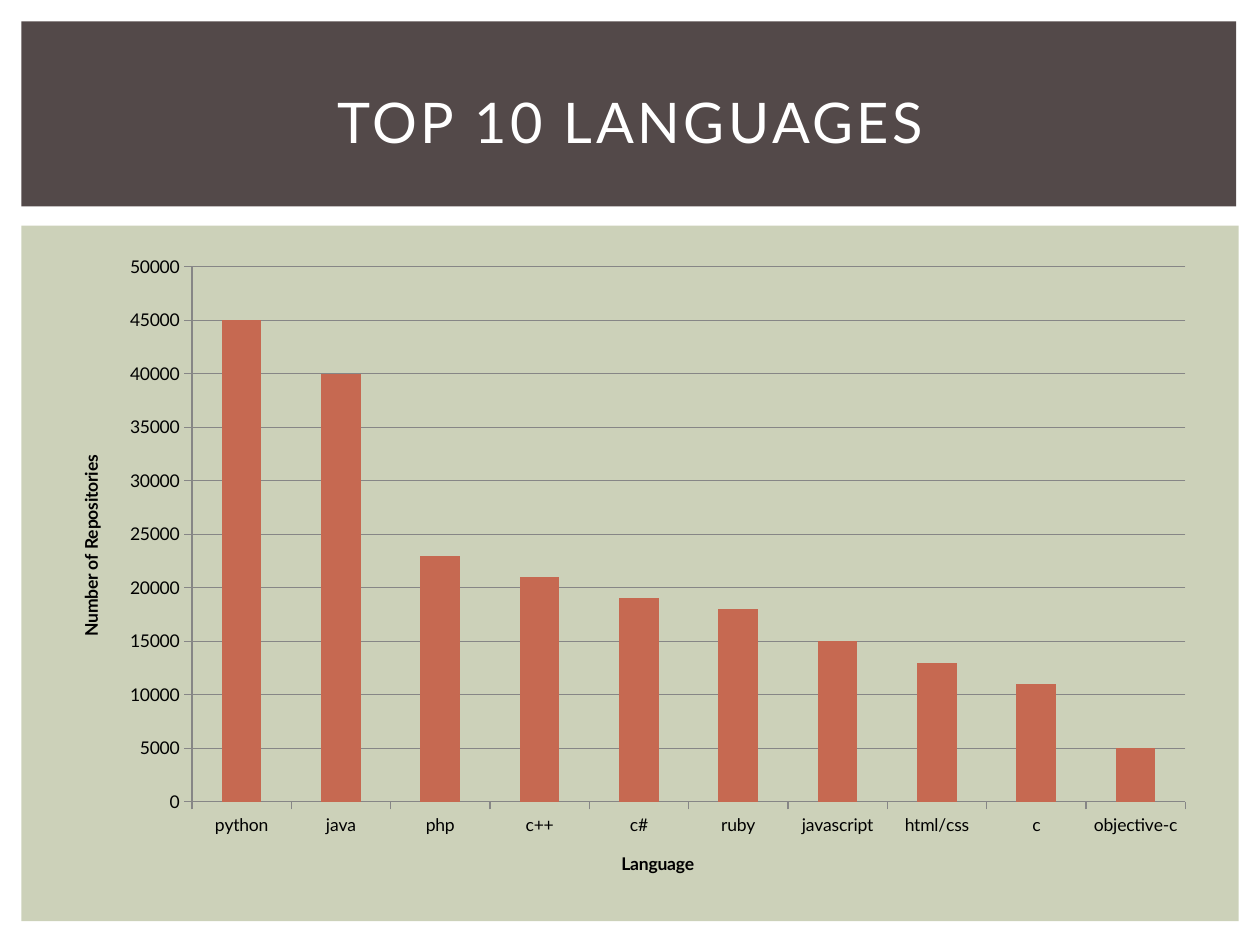
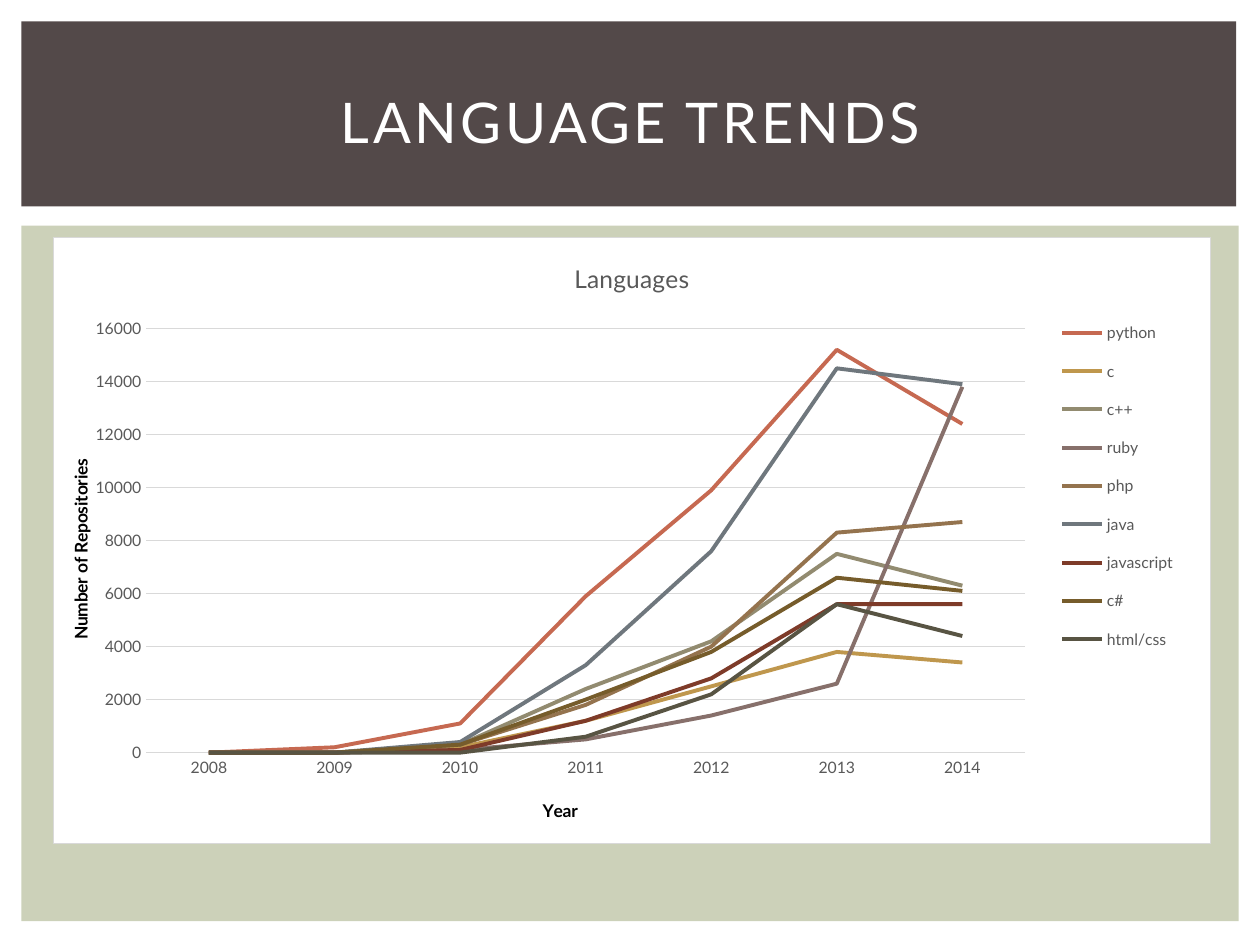
from dataclasses import dataclass

from lxml.etree import SubElement
from pptx import Presentation
from pptx.chart.data import CategoryChartData
from pptx.dml.color import RGBColor
from pptx.enum.chart import XL_CHART_TYPE as ChartType
from pptx.enum.chart import XL_LEGEND_POSITION as LegendPosition
from pptx.enum.chart import XL_TICK_MARK as TickMark
from pptx.enum.shapes import MSO_SHAPE as Shape
from pptx.enum.text import MSO_ANCHOR as Anchor
from pptx.enum.text import PP_ALIGN as Align
from pptx.oxml import parse_xml
from pptx.oxml.ns import nsdecls, qn
from pptx.util import Cm, Pt


@dataclass(frozen=True)
class Theme:
    font: str = "Lato"
    band: str = "534949"
    panel: str = "CCD1B9"
    white: str = "FFFFFF"
    black: str = "000000"
    muted: str = "595959"
    axis: str = "868686"
    pale: str = "D9D9D9"
    accent: str = "C66951"
    title_size: float = 32
    chart_title_size: float = 14
    axis_title_size: float = 10
    small_size: float = 9
    letter_spacing: int = 200
    hairline: float = 0.75
    trend_line: float = 2.25


THEME = Theme()

TOP_LANGUAGES = {
    "python": 45000, "java": 40000, "php": 23000, "c++": 21000, "c#": 19000,
    "ruby": 18000, "javascript": 15000, "html/css": 13000, "c": 11000,
    "objective-c": 5000,
}

YEARS = [str(year) for year in range(2008, 2015)]
TRENDS = [
    ("python", THEME.accent, [0, 200, 1100, 5900, 9900, 15200, 12400]),
    ("c", "BF974D", [0, 0, 200, 1200, 2500, 3800, 3400]),
    ("c++", "928B70", [0, 0, 300, 2400, 4200, 7500, 6300]),
    ("ruby", "87706B", [0, 0, 100, 500, 1400, 2600, 13800]),
    ("php", "94734E", [None, 0, 300, 1800, 4000, 8300, 8700]),
    ("java", "6F777D", [None, 0, 400, 3300, 7600, 14500, 13900]),
    ("javascript", "7E3B29", [None, 0, 100, 1200, 2800, 5600, 5600]),
    ("c#", "765C2B", [None, None, 300, 2000, 3800, 6600, 6100]),
    ("html/css", "585443", [None, None, None, 600, 2200, 5600, 4400]),
]


def style_font(font, size, color, bold=False):
    font.name = THEME.font
    font.size = Pt(size)
    font.bold = bold
    font.color.rgb = RGBColor.from_string(color)


def style_line(line, color, width=THEME.hairline):
    line.color.rgb = RGBColor.from_string(color)
    line.width = Pt(width)


def add_block(slide, color, left, top, width, height):
    block = slide.shapes.add_shape(
        Shape.RECTANGLE, Cm(left), Cm(top), Cm(width), Cm(height))
    block.shadow.inherit = False
    block.fill.solid()
    block.fill.fore_color.rgb = RGBColor.from_string(color)
    block.line.fill.background()


def add_title(slide, text):
    heading = slide.shapes.add_textbox(Cm(1.07), Cm(0.99), Cm(23.29), Cm(2.92))
    frame = heading.text_frame
    frame.word_wrap = True
    frame.vertical_anchor = Anchor.MIDDLE
    paragraph = frame.paragraphs[0]
    paragraph.alignment = Align.CENTER
    run = paragraph.add_run()
    run.text = text
    style_font(run.font, THEME.title_size, THEME.white)
    run.font._element.set("spc", str(THEME.letter_spacing))


def add_titled_slide(deck, title):
    slide = deck.slides.add_slide(deck.slide_layouts[6])
    add_block(slide, THEME.panel, 0.43, 4.55, 24.54, 14.02)
    add_block(slide, THEME.band, 0.43, 0.43, 24.49, 3.73)
    add_title(slide, title)
    return slide


def add_chart(slide, chart_type, categories, series, left, top, width, height):
    data = CategoryChartData()
    data.categories = categories
    for name, values in series:
        data.add_series(name, values)
    chart = slide.shapes.add_chart(
        chart_type, Cm(left), Cm(top), Cm(width), Cm(height), data).chart
    style_font(chart.font, THEME.axis_title_size, THEME.black)
    chart.has_title = False
    chart.has_legend = False
    chart.plots[0].vary_by_categories = False
    return chart


def place(element, index, inner=False, **fractions):
    """Set a manual layout, in fractions of the chart, on a chart part."""
    layout = element.find(qn("c:layout"))
    if layout is None:
        layout = parse_xml(f"<c:layout {nsdecls('c')}/>")
        element.insert(index, layout)
    manual = SubElement(layout, qn("c:manualLayout"))
    settings = {"layoutTarget": "inner"} if inner else {}
    settings |= {"xMode": "edge", "yMode": "edge"} | fractions
    for tag, value in settings.items():
        SubElement(manual, qn(f"c:{tag}")).set("val", str(value))


def write_chart_text(frame, text, size, color, bold=False):
    run = frame.paragraphs[0].add_run()
    run.text = text
    style_font(run.font, size, color, bold)


def style_axis(axis, title, tick, line_color, text_size, text_color):
    axis.major_tick_mark = tick
    axis.minor_tick_mark = TickMark.NONE
    style_font(axis.tick_labels.font, text_size, text_color)
    if line_color:
        style_line(axis.format.line, line_color)
    else:
        axis.format.line.fill.background()
    write_chart_text(axis.axis_title.text_frame, title,
                     THEME.axis_title_size, THEME.black, bold=True)


def style_axes(chart, category_title, top, step, tick, grid_color,
               value_line, text_size, text_color):
    style_axis(chart.category_axis, category_title, tick, grid_color,
               text_size, text_color)
    values = chart.value_axis
    style_axis(values, "Number of Repositories", tick, value_line,
               text_size, text_color)
    values.minimum_scale, values.maximum_scale = 0, top
    values.major_unit = step
    values.tick_labels.number_format = "General"
    values.tick_labels.number_format_is_linked = False
    values.has_major_gridlines = True
    style_line(values.major_gridlines.format.line, grid_color)
    body = values.axis_title.text_frame._txBody.bodyPr
    body.set("rot", "-5400000")
    body.set("vert", "horz")


def frame_chart(chart):
    """Give the chart a white ground with a pale border."""
    space = chart._chartSpace
    space.find(qn("c:chart")).addnext(parse_xml(
        f'<c:spPr {nsdecls("c", "a")}>'
        f'<a:solidFill><a:srgbClr val="{THEME.white}"/></a:solidFill>'
        f'<a:ln w="{Pt(THEME.hairline)}"><a:solidFill>'
        f'<a:srgbClr val="{THEME.pale}"/></a:solidFill></a:ln></c:spPr>'))


def add_ranking(slide):
    chart = add_chart(
        slide, ChartType.COLUMN_CLUSTERED, list(TOP_LANGUAGES),
        [("Series 1", list(TOP_LANGUAGES.values()))], 1.07, 4.9, 23.29, 13.26)
    style_axes(chart, "Language", 50000, 5000, TickMark.OUTSIDE, THEME.axis,
               THEME.axis, THEME.axis_title_size, THEME.black)
    columns = chart.plots[0]
    columns.gap_width = 150
    fill = columns.series[0].format.fill
    fill.solid()
    fill.fore_color.rgb = RGBColor.from_string(THEME.accent)


def add_trends(slide):
    chart = add_chart(
        slide, ChartType.LINE, YEARS,
        [(name, values) for name, _, values in TRENDS],
        1.07, 4.78, 23.34, 12.24)
    frame_chart(chart)
    style_axes(chart, "Year", 16000, 2000, TickMark.NONE, THEME.pale,
               None, THEME.small_size, THEME.muted)
    for trend, (_, color, _) in zip(chart.plots[0].series, TRENDS):
        trend.smooth = False
        style_line(trend.format.line, color, THEME.trend_line)

    # Years without repositories count as zero
    chart._chartSpace.find(".//" + qn("c:dispBlanksAs")).set("val", "zero")

    # Chart title and legend
    write_chart_text(chart.chart_title.text_frame, "Languages",
                     THEME.chart_title_size, THEME.muted)
    chart.has_legend = True
    legend = chart.legend
    legend.position = LegendPosition.RIGHT
    legend.include_in_layout = False
    style_font(legend.font, THEME.small_size, THEME.muted)

    # Places inside the chart
    plot_area = chart._chartSpace.find(".//" + qn("c:plotArea"))
    place(plot_area, 0, inner=True, x=0.08, y=0.15, w=0.76, h=0.7)
    place(legend._element, 1, x=0.86, y=0.11, w=0.12, h=0.6)
    place(chart.category_axis.axis_title._element, 1, x=0.42, y=0.92)
    place(chart.value_axis.axis_title._element, 1, x=0.01, y=0.36)


def main():
    deck = Presentation()
    deck.slide_width, deck.slide_height = Cm(25.4), Cm(19.05)
    add_ranking(add_titled_slide(deck, "TOP 10 LANGUAGES"))
    add_trends(add_titled_slide(deck, "LANGUAGE TRENDS"))
    deck.save("out.pptx")


if __name__ == "__main__":
    main()
